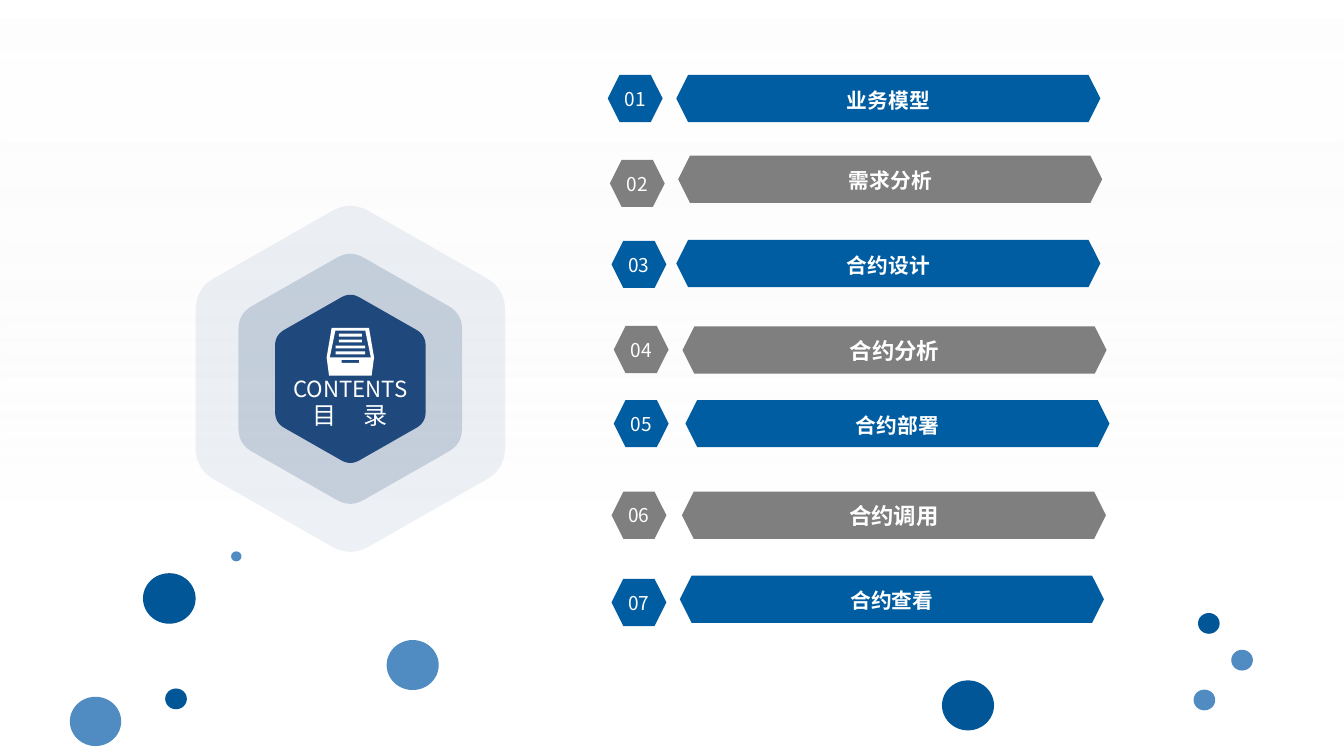
from dataclasses import dataclass

from lxml.etree import SubElement
from pptx import Presentation
from pptx.dml.color import RGBColor as Rgb
from pptx.enum.shapes import MSO_SHAPE as Preset
from pptx.enum.text import MSO_ANCHOR as Anchor, PP_ALIGN as Align
from pptx.oxml.ns import qn
from pptx.util import Pt


@dataclass(frozen=True)
class Theme:
    blue: str = "005DA2"
    gray: str = "7F7F7F"
    navy: str = "1F497D"
    dark_dot: str = "005697"
    light_dot: str = "508CC2"
    white: str = "FFFFFF"
    haze: str = "F2F2F2"
    number_font: str = "Noto Sans CJK SC"
    topic_font: str = "Calibri"
    number_size: float = 10.2
    topic_size: float = 11.1
    large_topic_size: float = 12
    contents_size: float = 11.9
    heading_size: float = 12.9


THEME = Theme()
WIDTH, HEIGHT = 720, 405
NUMBER_WIDTH, BAR_WIDTH, ROW_HEIGHT = 29.4, 227.2, 25.3
BADGE_CENTER = (187.7, 203)

# Topic, number (left, top), bar (left, top)
TOPICS = [
    ("业务模型", (325.6, 40.1), (362.3, 40.1)),
    ("需求分析", (326.7, 85.6), (363.3, 83.4)),
    ("合约设计", (327.6, 129), (362.3, 128.5)),
    ("合约分析", (328.8, 174.6), (365.6, 174.9)),
    ("合约部署", (328.8, 214.3), (367.2, 214.3)),
    ("合约调用", (327.6, 263.4), (365.3, 263.4)),
    ("合约查看", (327.6, 310.1), (364.2, 308.4)),
]
LARGE_TOPICS = {"合约分析", "合约调用"}

# Center x, center y, width
DARK_DOTS = [(90.7, 320.6, 28.2), (518.6, 377.9, 27.9),
             (647.6, 334, 11.6), (94.3, 374.4, 11.6)]
LIGHT_DOTS = [(645.2, 375, 11.6), (665.4, 353.7, 11.6), (221.1, 356.3, 27.9),
              (126.6, 298.1, 5.6), (51.2, 386.5, 27.5)]


def set_alpha(color, percent):
    SubElement(color, qn("a:alpha")).set("val", str(percent * 1000))


def paint(shape, color, opacity=100):
    shape.shadow.inherit = False
    shape.line.fill.background()
    shape.fill.solid()
    shape.fill.fore_color.rgb = Rgb.from_string(color)
    if opacity < 100:
        set_alpha(shape._element.spPr.find(".//" + qn("a:srgbClr")), opacity)


def add_preset(slide, preset, left, top, width, height, color):
    shape = slide.shapes.add_shape(preset, Pt(left), Pt(top), Pt(width), Pt(height))
    paint(shape, color)
    return shape


def add_outline(slide, contours, color, opacity=100):
    contours = [[(Pt(x), Pt(y)) for x, y in contour] for contour in contours]
    builder = slide.shapes.build_freeform(*contours[0][0], scale=1.0)
    builder.add_line_segments(contours[0][1:], close=True)
    for contour in contours[1:]:
        builder.move_to(*contour[0])
        builder.add_line_segments(contour[1:], close=True)
    paint(builder.convert_to_shape(), color, opacity)


def add_run(paragraph, text, size, font, bold=False):
    run = paragraph.add_run()
    run.text = text
    run.font.size = Pt(size)
    run.font.name = font
    run.font.bold = bold
    run.font.color.rgb = Rgb.from_string(THEME.white)
    return run


def centered_paragraph(shape, wrap=True):
    frame = shape.text_frame
    frame.word_wrap = wrap
    frame.vertical_anchor = Anchor.MIDDLE
    paragraph = frame.paragraphs[0]
    paragraph.alignment = Align.CENTER
    return paragraph


def add_backdrop(slide):
    backdrop = add_preset(slide, Preset.RECTANGLE, 0, 0, WIDTH, HEIGHT, THEME.white)
    backdrop.fill.gradient()
    backdrop.fill.gradient_angle = 270
    stops = [(THEME.white, 0, 55), (THEME.haze, 0.71, 0)]
    for stop, (color, position, opacity) in zip(backdrop.fill.gradient_stops, stops):
        stop.color.rgb = Rgb.from_string(color)
        stop.position = position
        set_alpha(stop._gs.find(qn("a:srgbClr")), opacity)


def rounded_hexagon(width, cut=0.12, steps=10):
    """Upright hexagon whose corners are quadratic curves."""
    half, peak, shoulder = width / 2, width * 0.576, width * 0.291
    cx, cy = BADGE_CENTER
    corners = [(cx, cy - peak), (cx + half, cy - shoulder), (cx + half, cy + shoulder),
               (cx, cy + peak), (cx - half, cy + shoulder), (cx - half, cy - shoulder)]
    points = []
    for i, corner in enumerate(corners):
        before, after = corners[i - 1], corners[(i + 1) % 6]
        start = [c + (b - c) * cut for c, b in zip(corner, before)]
        end = [c + (a - c) * cut for c, a in zip(corner, after)]
        for step in range(steps + 1):
            t = step / steps
            points.append(tuple((1 - t) ** 2 * s + 2 * t * (1 - t) * c + t * t * e
                                for s, c, e in zip(start, corner, end)))
    return points


def add_drawer_icon(slide):
    def slot(half, top, height):
        cx = BADGE_CENTER[0]
        return [(cx - half, top), (cx + half, top),
                (cx + half, top + height), (cx - half, top + height)]

    def mirrored(*right_side):
        cx = BADGE_CENTER[0]
        return ([(cx + dx, y) for dx, y in right_side]
                + [(cx - dx, y) for dx, y in reversed(right_side)])

    body = mirrored((10, 175.6), (12.7, 191.5), (11.4, 201.2))
    opening = mirrored((8, 177.1), (11, 191.5))
    sheets = [slot(half, 178.7 + 3.2 * i, 1.6)
              for i, half in enumerate((6.2, 6.2, 7.9, 7.9))]
    add_outline(slide, [body, opening, *sheets, slot(4.7, 192.8, 1.6)], THEME.white)


def add_caption(slide, top):
    box = slide.shapes.add_textbox(Pt(153.2), Pt(top), Pt(69), Pt(14.4))
    frame = box.text_frame
    frame.margin_left = frame.margin_right = frame.margin_top = frame.margin_bottom = 0
    return centered_paragraph(box)


def add_badge(slide):
    for width, opacity in ((165.8, 8), (119.8, 19), (80.6, 100)):
        add_outline(slide, [rounded_hexagon(width)], THEME.navy, opacity)
    add_drawer_icon(slide)
    add_run(add_caption(slide, 200.9), "CONTENTS", THEME.contents_size, THEME.number_font)
    heading = add_caption(slide, 215.3)
    first = add_run(heading, "目 ", THEME.heading_size, THEME.number_font)
    first._r.get_or_add_rPr().set("spc", "580")
    add_run(heading, "录", THEME.heading_size, THEME.number_font)


def add_topic(slide, index, topic, number_at, bar_at):
    color = THEME.gray if index % 2 == 0 else THEME.blue
    number = add_preset(slide, Preset.HEXAGON, *number_at, NUMBER_WIDTH, ROW_HEIGHT, color)
    add_run(centered_paragraph(number, wrap=False), f"{index:02}",
            THEME.number_size, THEME.number_font)

    bar = add_preset(slide, Preset.HEXAGON, *bar_at, BAR_WIDTH, ROW_HEIGHT, color)
    label = centered_paragraph(bar)
    large = topic in LARGE_TOPICS
    if not large:
        label.line_spacing = 1.1
    size = THEME.large_topic_size if large else THEME.topic_size
    add_run(label, topic, size, THEME.topic_font, bold=True)


def add_dots(slide, dots, color):
    for cx, cy, width in dots:
        height = width * 0.96
        add_preset(slide, Preset.OVAL, cx - width / 2, cy - height / 2, width, height, color)


def main():
    deck = Presentation()
    deck.slide_width, deck.slide_height = Pt(WIDTH), Pt(HEIGHT)
    slide = deck.slides.add_slide(deck.slide_layouts[6])

    add_backdrop(slide)
    # Contents badge
    add_badge(slide)
    # Scattered dots
    add_dots(slide, DARK_DOTS, THEME.dark_dot)
    add_dots(slide, LIGHT_DOTS, THEME.light_dot)
    # Numbered topics
    for index, (topic, number_at, bar_at) in enumerate(TOPICS, start=1):
        add_topic(slide, index, topic, number_at, bar_at)

    deck.save("out.pptx")


if __name__ == "__main__":
    main()
